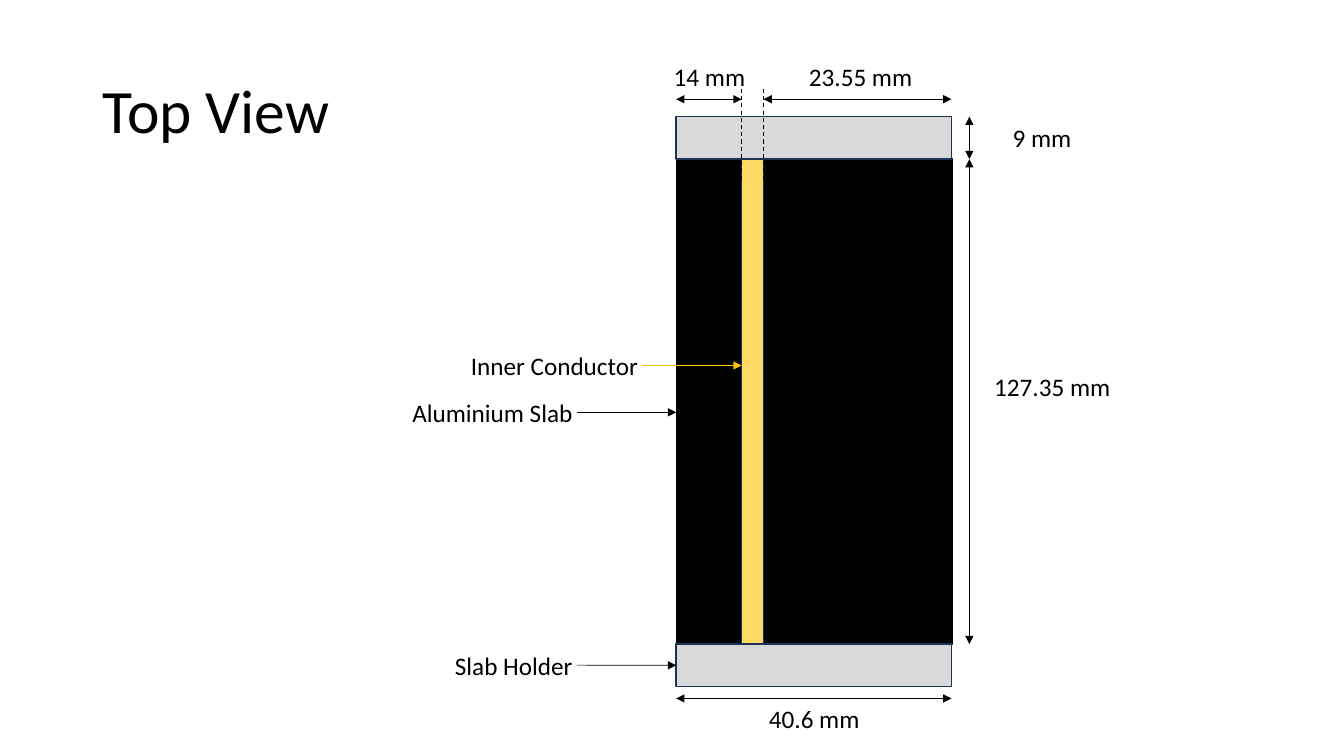
import pptx
import pptx.dml.color
import pptx.enum.dml
import pptx.enum.shapes
import pptx.enum.text
import pptx.oxml
import pptx.oxml.ns
import pptx.util

Cm = pptx.util.Cm
Pt = pptx.util.Pt
Align = pptx.enum.text.PP_ALIGN

BLACK, GREY, YELLOW, AMBER, NAVY = "000000", "D9D9D9", "FFD966", "FFC000", "1E3256"

# Lengths in centimetres
LEFT, WIDTH = 17.04, 6.94
RIGHT = LEFT + WIDTH
SLAB_TOP, SLAB_HEIGHT = 4.01, 12.22
SLAB_BOTTOM = SLAB_TOP + SLAB_HEIGHT
HOLDER_HEIGHT = 1.07
HOLDER_TOP = SLAB_TOP - HOLDER_HEIGHT
STRIP_LEFT, STRIP_WIDTH = 18.69, 0.55
STRIP_RIGHT = STRIP_LEFT + STRIP_WIDTH
TOP_DIMENSION, BOTTOM_DIMENSION, SIDE_DIMENSION = 2.5, 17.6, 24.43
LABEL_HEIGHT, SIZE_WIDTH, NAME_WIDTH = 1.02, 3.66, 4.75


def rgb(value):
    return pptx.dml.color.RGBColor.from_string(value)


class Drawing:
    """Adds the elements of a dimensioned drawing to one slide."""

    font = "Calibri"

    def __init__(self, page):
        self.page = page

    def set_text(self, frame, text, size, align):
        frame.text = text
        para = frame.paragraphs[0]
        para.alignment = align
        span = para.runs[0]
        span.font.name = self.font
        span.font.size = Pt(size)
        span.font.color.rgb = rgb(BLACK)
        return para

    def title(self, text):
        box = self.page.shapes.title
        box.left, box.top, box.width, box.height = Cm(2.33), Cm(1.01), Cm(29.21), Cm(3.68)
        box.text_frame.vertical_anchor = pptx.enum.text.MSO_ANCHOR.MIDDLE
        para = self.set_text(box.text_frame, text, 44, Align.LEFT)
        para.line_spacing = 0.9

    def block(self, left, top, width, height, fill, outline):
        shape = self.page.shapes.add_shape(
            pptx.enum.shapes.MSO_SHAPE.RECTANGLE, Cm(left), Cm(top), Cm(width), Cm(height))
        shape.shadow.inherit = False
        shape.fill.solid()
        shape.fill.fore_color.rgb = rgb(fill)
        shape.line.color.rgb = rgb(outline)
        shape.line.width = Pt(1)
        return shape

    def label(self, text, left, top, width=SIZE_WIDTH, align=Align.CENTER):
        box = self.page.shapes.add_textbox(Cm(left), Cm(top), Cm(width), Cm(LABEL_HEIGHT))
        box.text_frame.word_wrap = True
        box.text_frame.auto_size = pptx.enum.text.MSO_AUTO_SIZE.SHAPE_TO_FIT_TEXT
        self.set_text(box.text_frame, text, 18, align)

    def line(self, start, end, color=BLACK, weight=0.5, ends=(), dashed=False):
        """Draw a straight line; ends lists headEnd and tailEnd arrowheads."""
        line = self.page.shapes.add_connector(
            pptx.enum.shapes.MSO_CONNECTOR.STRAIGHT, *map(Cm, start + end))
        line.line.color.rgb = rgb(color)
        line.line.width = Pt(weight)
        if dashed:
            line.line.dash_style = pptx.enum.dml.MSO_LINE.DASH
        properties = line._element.spPr
        outline = properties.find(pptx.oxml.ns.qn("a:ln"))
        for name in ends:
            arrow = pptx.oxml.parse_xml(
                f'<a:{name} {pptx.oxml.ns.nsdecls("a")} type="triangle"/>')
            outline.append(arrow)
        properties.append(
            pptx.oxml.parse_xml(f'<a:effectLst {pptx.oxml.ns.nsdecls("a")}/>'))
        return line

    def dimension(self, start, end):
        self.line(start, end, ends=("headEnd", "tailEnd"))

    def pointer(self, text, left, top, target, color=BLACK):
        """Set a part name and point an arrow from it to the target x."""
        y = top + LABEL_HEIGHT / 2
        arrow = self.line((left + 4.6, y), (target, y), color, ends=("tailEnd",))
        self.label(text, left, top, NAME_WIDTH, Align.RIGHT)
        return arrow


def main():
    deck = pptx.Presentation()
    deck.slide_width, deck.slide_height = Cm(33.87), Cm(19.05)
    drawing = Drawing(deck.slides.add_slide(deck.slide_layouts[5]))
    drawing.title("Top View")

    drawing.block(LEFT + 0.02, SLAB_TOP, WIDTH, SLAB_HEIGHT, BLACK, BLACK)
    drawing.block(LEFT, HOLDER_TOP, WIDTH, HOLDER_HEIGHT, GREY, NAVY)
    lower_holder = drawing.block(LEFT, SLAB_BOTTOM, WIDTH, HOLDER_HEIGHT, GREY, NAVY)
    drawing.block(STRIP_LEFT, SLAB_TOP, STRIP_WIDTH, SLAB_HEIGHT, YELLOW, NAVY)

    for start, end in ((LEFT, STRIP_LEFT), (STRIP_RIGHT, RIGHT)):
        drawing.dimension((start, TOP_DIMENSION), (end, TOP_DIMENSION))
    drawing.dimension((LEFT, BOTTOM_DIMENSION), (RIGHT, BOTTOM_DIMENSION))
    for start, end in ((HOLDER_TOP, SLAB_TOP), (SLAB_TOP, SLAB_BOTTOM)):
        drawing.dimension((SIDE_DIMENSION, start), (SIDE_DIMENSION, end))
    for x in (STRIP_LEFT, STRIP_RIGHT):
        drawing.line((x, 2.24), (x, 4.54), weight=0.75, dashed=True)

    for text, left, top in (
        ("14 mm", 16.05, 1.42),
        ("23.55 mm", 19.86, 1.42),
        ("9 mm", 24.43, 2.97),
        ("127.35 mm", 24.69, 9.22),
        ("40.6 mm", 18.69, BOTTOM_DIMENSION),
    ):
        drawing.label(text, left, top)

    drawing.pointer("Inner Conductor", 11.58, 8.7, STRIP_LEFT, AMBER)
    drawing.pointer("Aluminium Slab", 9.93, 9.88, LEFT)
    holder_arrow = drawing.pointer("Slab Holder", 9.93, 16.25, LEFT)
    holder_arrow.end_connect(lower_holder, 1)

    deck.save("out.pptx")


if __name__ == "__main__":
    main()
